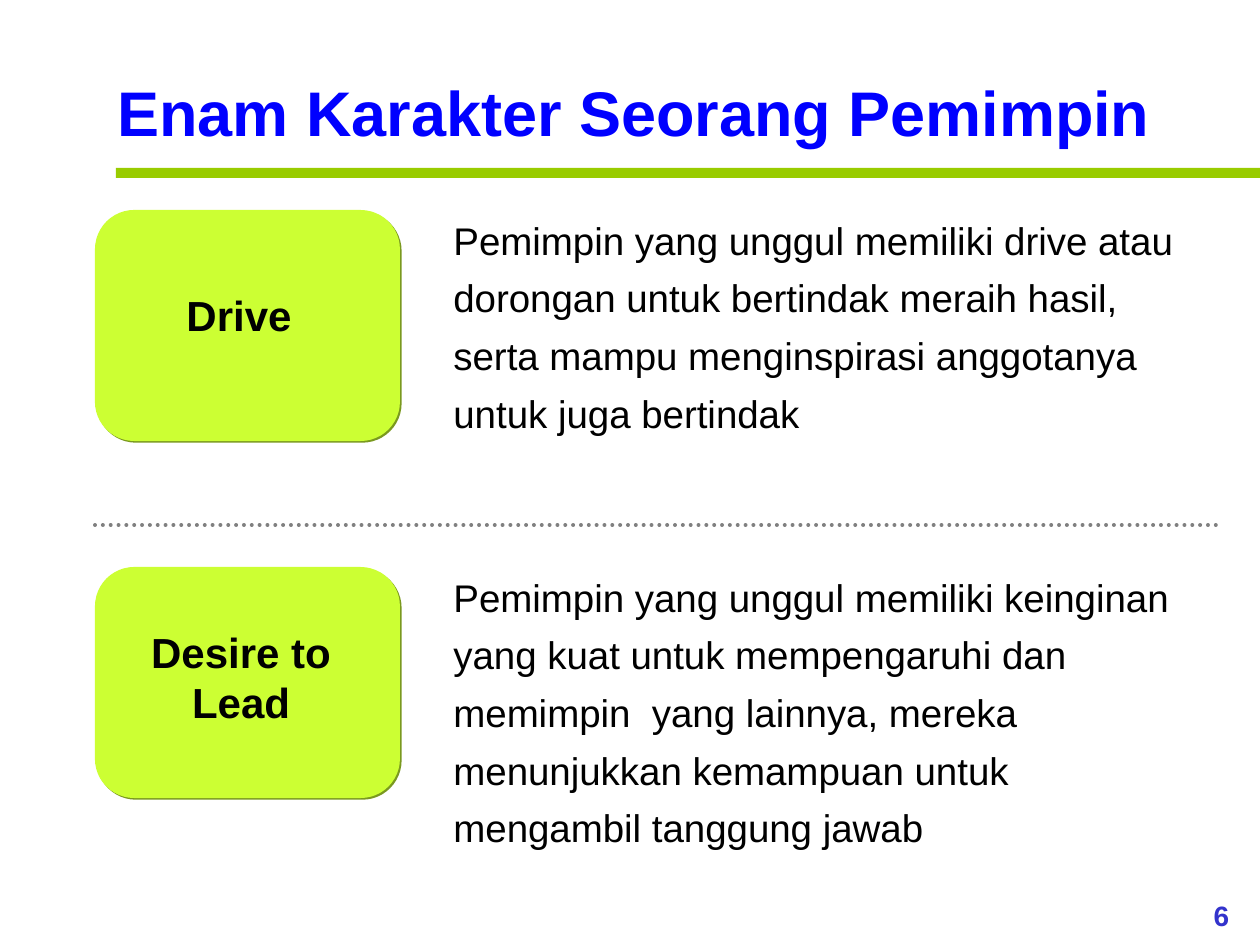
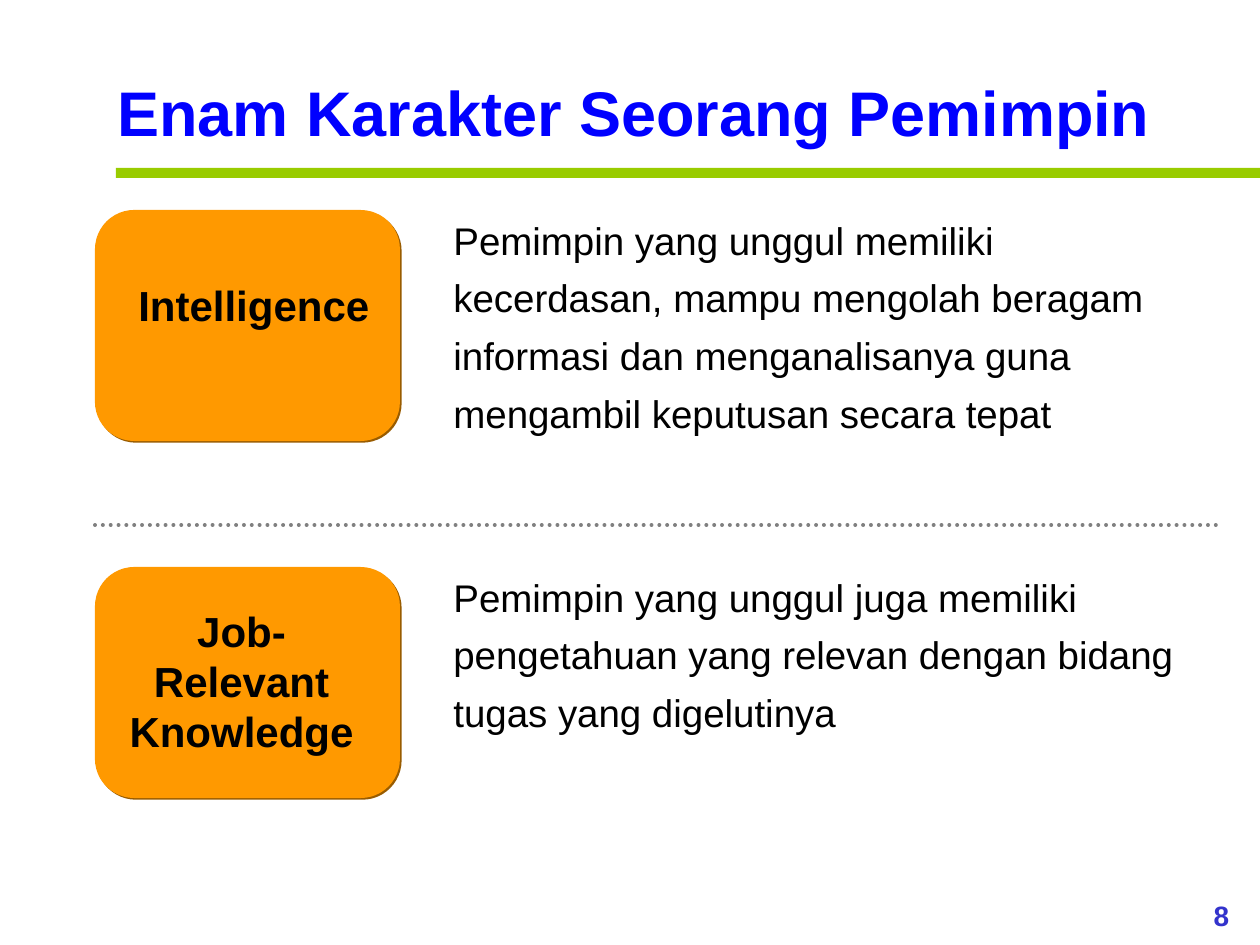
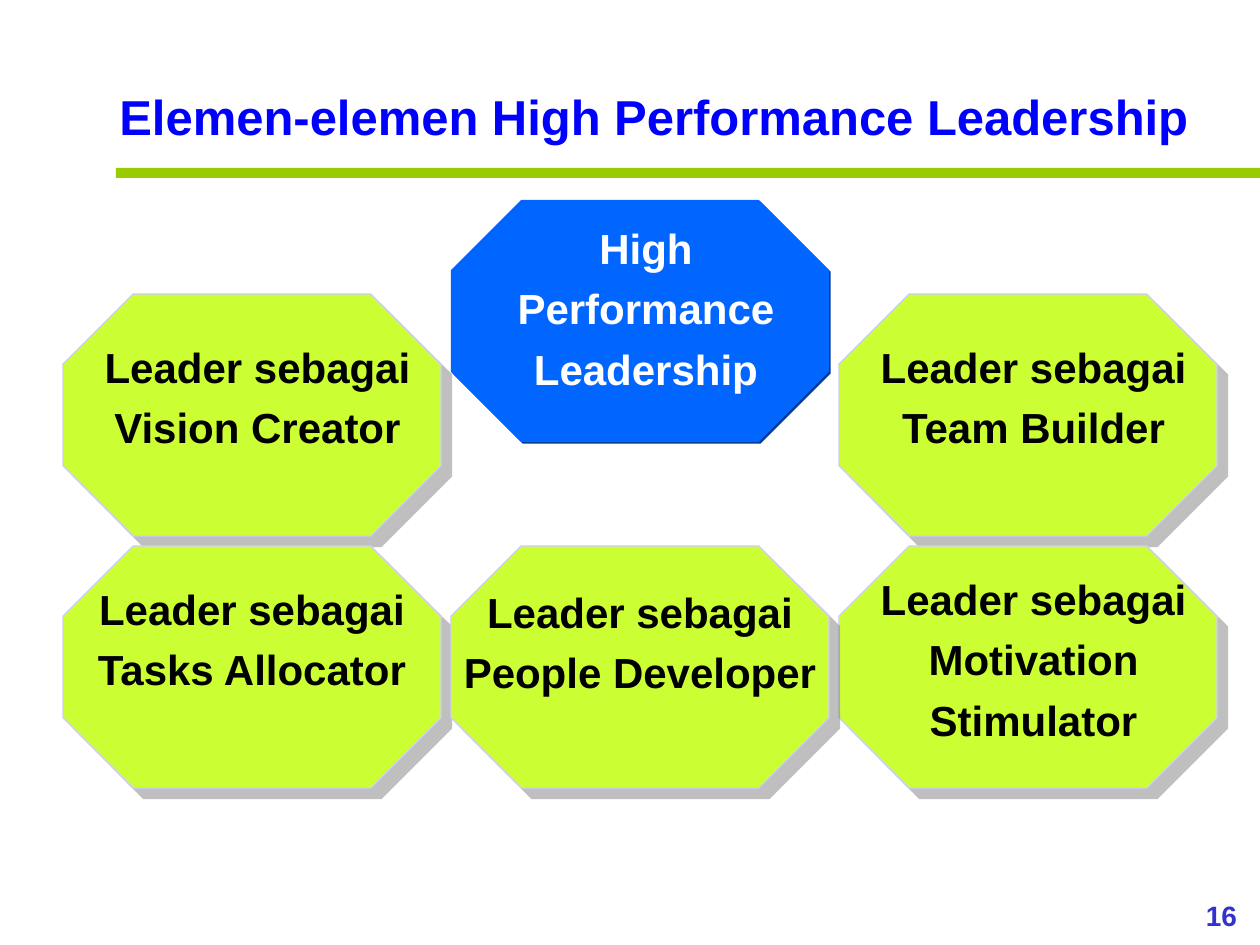
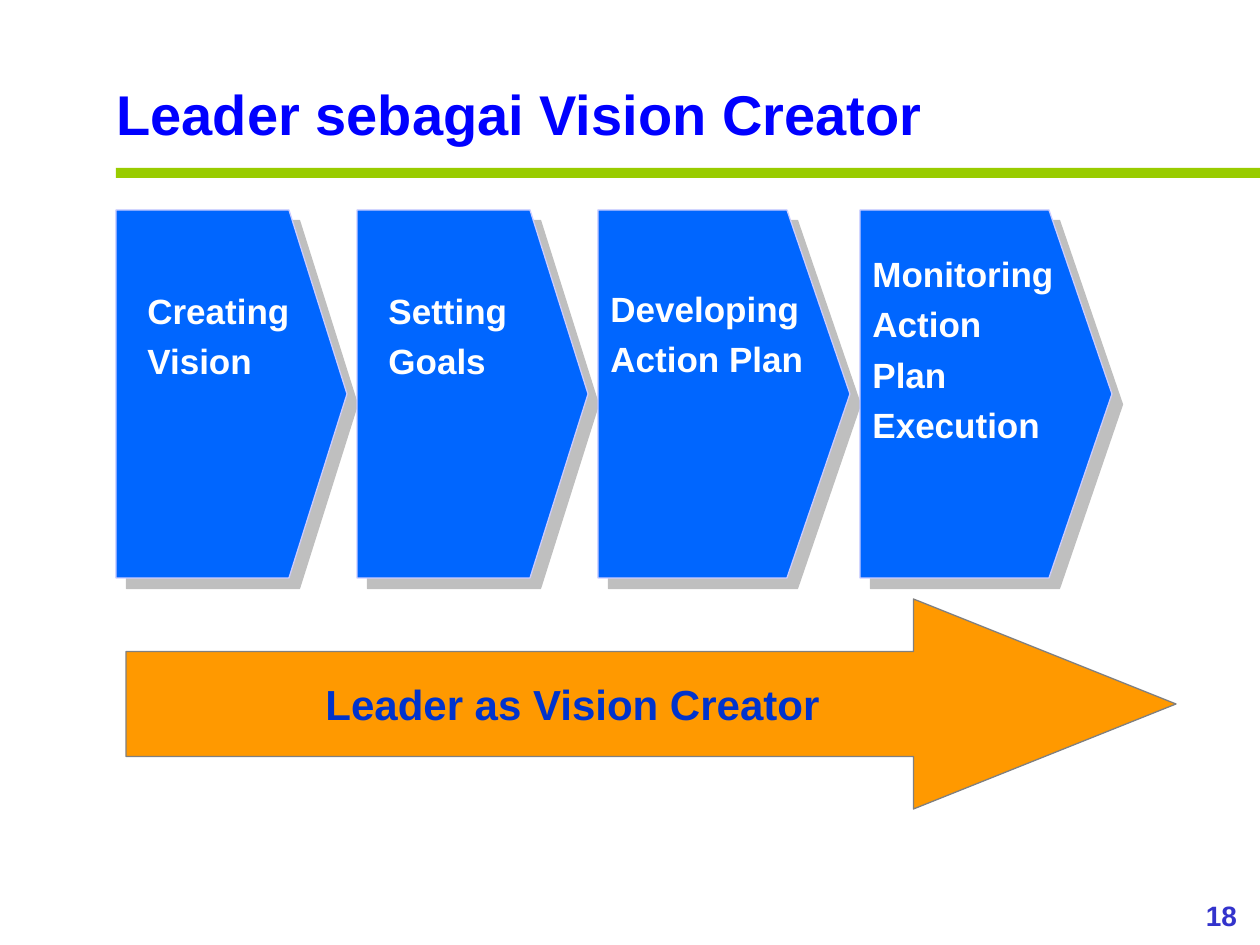
from lxml import etree
from pptx import Presentation
from pptx import util as u
from pptx.dml.color import RGBColor
from pptx.enum import dml, shapes, text
from pptx.oxml.ns import qn

EMU_PER_PX = 914400 / 126
SLIDE_W, SLIDE_H = 1260, 945
FONT = "Arial"

BLACK = RGBColor(0x00, 0x00, 0x00)
WHITE = RGBColor(0xFF, 0xFF, 0xFF)
TITLE_BLUE = RGBColor(0x00, 0x00, 0xFF)
NUMBER_BLUE = RGBColor(0x33, 0x33, 0xCC)
ARROW_TEXT_BLUE = RGBColor(0x00, 0x33, 0xCC)
BAND_GREEN = RGBColor(0x99, 0xCC, 0x00)
LIME = RGBColor(0xCC, 0xFF, 0x33)
ORANGE = RGBColor(0xFF, 0x99, 0x00)
BLUE = RGBColor(0x00, 0x66, 0xFF)
LILAC = RGBColor(0xCC, 0xCC, 0xFF)
GREY = RGBColor(0x80, 0x80, 0x80)

# Shadows: colour, opacity in percent, distance in points
LIME_EDGE = (RGBColor(0x7A, 0x99, 0x1F), 100, 1.4)
ORANGE_EDGE = (RGBColor(0x99, 0x5C, 0x00), 100, 1.4)
BLUE_EDGE = (RGBColor(0x00, 0x3D, 0x99), 100, 1.4)
SOFT_GREY = (GREY, 50, 8.5)

# Titles: wording, point size, box
TRAITS_TITLE = ("Enam Karakter Seorang Pemimpin", 36, (105, 67, 1066, 88))
ELEMENTS_TITLE = ("Elemen-elemen High Performance Leadership", 28, (107, 80, 1100, 72))
VISION_TITLE = ("Leader sebagai Vision Creator", 32, (104, 73, 840, 81))

# Traits: label, label box, description, description height
TRAIT_SLIDES = [
    (6, LIME, LIME_EDGE, [
        ("Drive", (174, 283, 134, 63),
         "Pemimpin yang unggul memiliki drive atau dorongan untuk bertindak meraih hasil, "
         "serta mampu menginspirasi anggotanya untuk juga bertindak", 243),
        ("Desire to Lead", (136, 620, 210, 113),
         "Pemimpin yang unggul memiliki keinginan yang kuat untuk mempengaruhi dan "
         "memimpin  yang lainnya, mereka menunjukkan kemampuan untuk mengambil "
         "tanggung jawab", 301),
    ]),
    (8, ORANGE, ORANGE_EDGE, [
        ("Intelligence", (126, 273, 262, 63),
         "Pemimpin yang unggul memiliki kecerdasan, mampu mengolah beragam informasi "
         "dan menganalisanya guna mengambil keputusan secara tepat", 243),
        ("Job-Relevant Knowledge", (105, 599, 273, 164),
         "Pemimpin yang unggul juga memiliki pengetahuan yang relevan dengan bidang "
         "tugas yang digelutinya", 186),
    ]),
]
TRAIT_TOP, TRAIT_STEP = 210, 357

# Roles: wording, column, row, label box relative to the octagon
ROLES = [
    ("Leader sebagai Vision Creator", 0, 0, (21, 31, 347, 134)),
    ("Leader sebagai\nTasks Allocator", 0, 1, (0, 21, 378, 134)),
    ("Leader sebagai Team Builder", 2, 0, (21, 31, 347, 134)),
    ("Leader sebagai Motivation Stimulator", 2, 1, (21, 11, 347, 194)),
    ("Leader sebagai\nPeople Developer", 1, 1, (0, 24, 378, 134)),
]
OCTAGON_W, OCTAGON_H = 378, 242
ROLE_LEFT, ROLE_TOP, ROLE_STEP_X, ROLE_STEP_Y = 63, 294, 388, 252
HUB_TOP = 200

# Steps: wording, width, label box (left is relative to the step)
STEPS = [
    ("Creating Vision", 231, (19, 275, 254, 113)),
    ("Setting Goals", 231, (19, 275, 223, 113)),
    ("Developing Action Plan", 252, (0, 273, 221, 113)),
    ("Monitoring Action Plan Execution", 252, (0, 238, 210, 214)),
]
STEP_LEFT, STEP_TOP, STEP_H, STEP_GAP = 116, 210, 368, 10


def px(n):
    return u.Emu(round(n * EMU_PER_PX))


def add_label(slide, box, words, size, color, bold=True, align=text.PP_ALIGN.LEFT,
              spacing=1.0, wrap=True):
    frame = slide.shapes.add_textbox(*map(px, box)).text_frame
    frame.text = words
    frame.word_wrap = wrap
    frame.auto_size = text.MSO_AUTO_SIZE.SHAPE_TO_FIT_TEXT
    for paragraph in frame.paragraphs:
        paragraph.alignment = align
        paragraph.line_spacing = spacing
        for run in paragraph.runs:
            run.font.name = FONT
            run.font.size = u.Pt(size)
            run.font.bold = bold
            run.font.color.rgb = color


def paint(shape, fill, line=None, shadow=None):
    """Set fill, outline and a shadow falling to the lower right."""
    shape.fill.solid()
    shape.fill.fore_color.rgb = fill
    if line is None:
        shape.line.fill.background()
    else:
        shape.line.color.rgb = line
        shape.line.width = u.Pt(0.75)
    shape.shadow.inherit = False
    if shadow:
        color, opacity, distance = shadow
        effects = shape.element.spPr.find(qn("a:effectLst"))
        outer = etree.SubElement(effects, qn("a:outerShdw"), dist=str(u.Pt(distance)),
                                 dir=str(45 * 60000), algn="tl", rotWithShape="0")
        tint = etree.SubElement(outer, qn("a:srgbClr"), val=str(color))
        etree.SubElement(tint, qn("a:alpha"), val=str(opacity * 1000))


def add_preset(slide, preset, box, fill, line=None, shadow=None, adjustments=()):
    shape = slide.shapes.add_shape(preset, *map(px, box))
    for index, value in enumerate(adjustments):
        shape.adjustments[index] = value
    paint(shape, fill, line, shadow)


def add_framed_slide(deck, title, number):
    """Add a slide with the title, green band and number all slides share."""
    slide = deck.slides.add_slide(deck.slide_layouts[6])
    add_label(slide, (1183, 892, 77, 47), str(number), 16, NUMBER_BLUE,
              align=text.PP_ALIGN.CENTER)
    add_preset(slide, shapes.MSO_SHAPE.RECTANGLE, (116, 168, SLIDE_W - 116, 10), BAND_GREEN)
    words, size, box = title
    add_label(slide, box, words, size, TITLE_BLUE, wrap=False)
    return slide


def add_divider(slide, left, right, y):
    divider = slide.shapes.add_connector(shapes.MSO_CONNECTOR.STRAIGHT,
                                         px(left), px(y), px(right), px(y))
    divider.line.color.rgb = GREY
    divider.line.width = u.Pt(2.25)
    divider.line.dash_style = dml.MSO_LINE.ROUND_DOT
    properties = divider.element.spPr
    properties.find(qn("a:ln")).set("cap", "rnd")
    etree.SubElement(properties, qn("a:effectLst"))


def add_trait_slide(deck, number, fill, edge, traits):
    slide = add_framed_slide(deck, TRAITS_TITLE, number)
    for index, (label, label_box, description, height) in enumerate(traits):
        top = TRAIT_TOP + index * TRAIT_STEP
        add_preset(slide, shapes.MSO_SHAPE.ROUNDED_RECTANGLE, (95, top, 305, 231), fill,
                   shadow=edge, adjustments=[0.17])
        one_word = " " not in label
        add_label(slide, label_box, label, 24, BLACK, wrap=not one_word,
                  align=text.PP_ALIGN.LEFT if one_word else text.PP_ALIGN.CENTER)
        add_label(slide, (441, top - 11, 777, height), description, 22, BLACK,
                  bold=False, spacing=1.25)
    add_divider(slide, 95, 1218, 525)


def add_octagon(slide, left, top, words, label_box, fill, color, line, shadow):
    add_preset(slide, shapes.MSO_SHAPE.OCTAGON, (left, top, OCTAGON_W, OCTAGON_H), fill,
               line, shadow, [0.29])
    dx, dy, width, height = label_box
    add_label(slide, (left + dx, top + dy, width, height), words, 24, color,
              align=text.PP_ALIGN.CENTER, spacing=1.2)


def add_elements_slide(deck):
    slide = add_framed_slide(deck, ELEMENTS_TITLE, 16)
    for words, column, row, label_box in ROLES:
        add_octagon(slide, ROLE_LEFT + column * ROLE_STEP_X, ROLE_TOP + row * ROLE_STEP_Y,
                    words, label_box, LIME, BLACK, LILAC, SOFT_GREY)
    add_octagon(slide, ROLE_LEFT + ROLE_STEP_X, HUB_TOP, "High Performance Leadership",
                (11, 6, 368, 194), BLUE, WHITE, None, BLUE_EDGE)


def add_step(slide, left, width):
    """Draw a pentagon whose tip takes a quarter of its width."""
    shoulder, right, bottom = left + width * 0.75, left + width, STEP_TOP + STEP_H
    outline = slide.shapes.build_freeform(left, STEP_TOP, scale=EMU_PER_PX)
    outline.add_line_segments([(shoulder, STEP_TOP), (right, STEP_TOP + STEP_H / 2),
                               (shoulder, bottom), (left, bottom)])
    paint(outline.convert_to_shape(), BLUE, LILAC, SOFT_GREY)


def add_vision_slide(deck):
    slide = add_framed_slide(deck, VISION_TITLE, 18)
    add_preset(slide, shapes.MSO_SHAPE.RIGHT_ARROW, (126, 599, 1050, 210), ORANGE, GREY,
               adjustments=[0.5, 1.25])
    add_label(slide, (147, 672, 851, 63), "Leader as Vision Creator", 24, ARROW_TEXT_BLUE,
              align=text.PP_ALIGN.CENTER)
    left = STEP_LEFT
    for words, width, (dx, top, label_w, label_h) in STEPS:
        add_step(slide, left, width)
        add_label(slide, (left + dx, top, label_w, label_h), words, 20, WHITE, spacing=1.2)
        left += width + STEP_GAP


def main():
    deck = Presentation()
    deck.slide_width, deck.slide_height = px(SLIDE_W), px(SLIDE_H)
    for trait_slide in TRAIT_SLIDES:
        add_trait_slide(deck, *trait_slide)
    add_elements_slide(deck)
    add_vision_slide(deck)
    deck.save("out.pptx")


if __name__ == "__main__":
    main()
